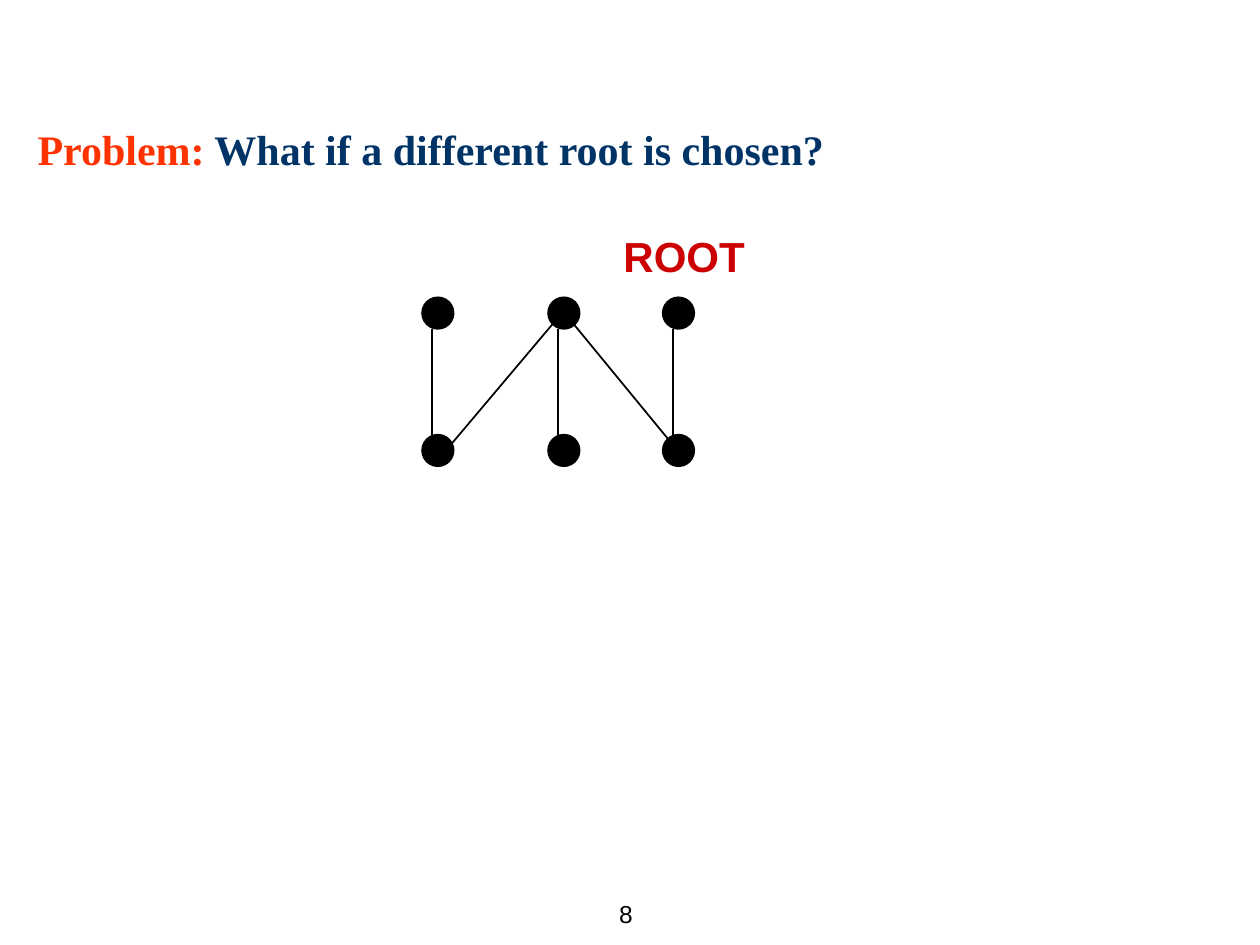
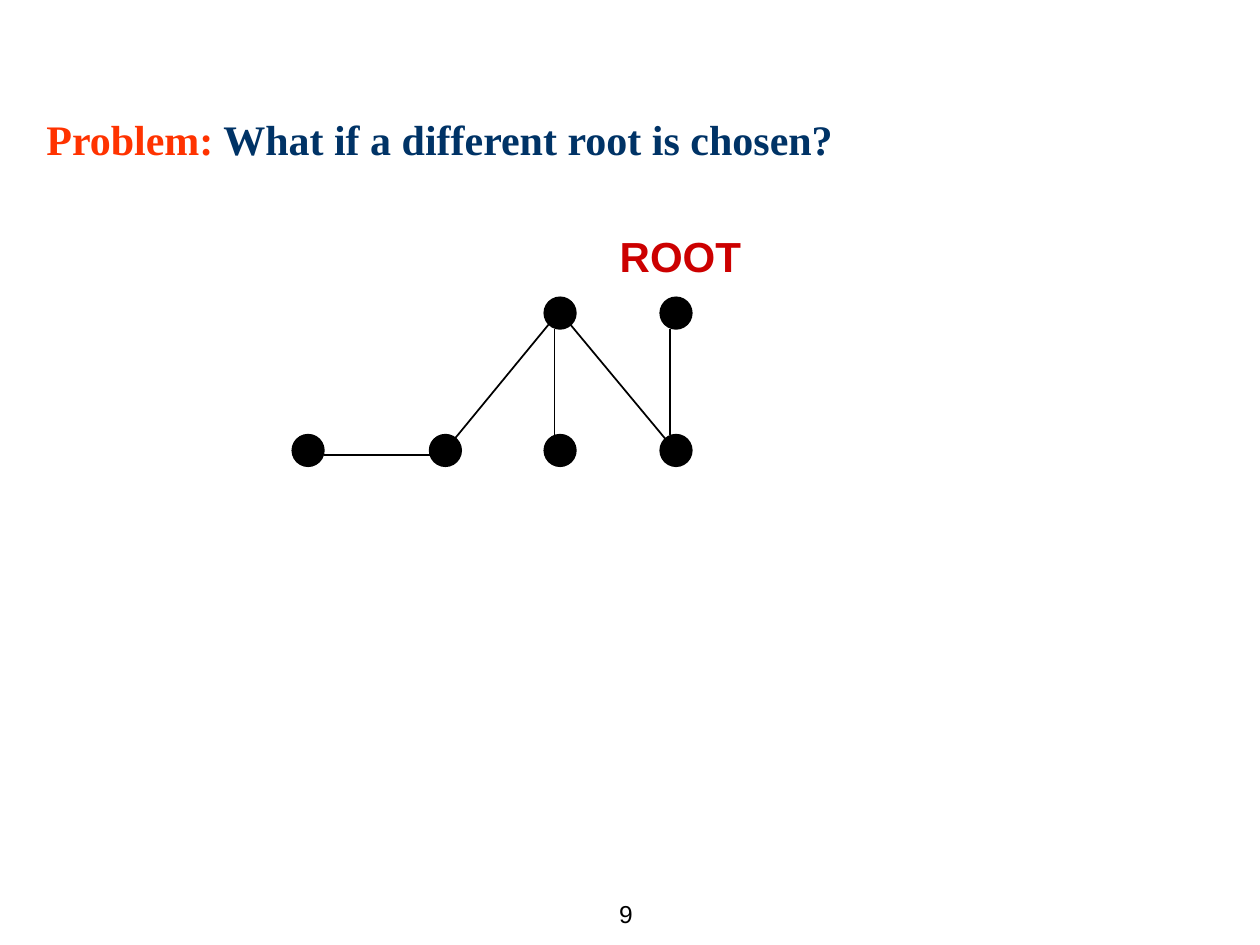
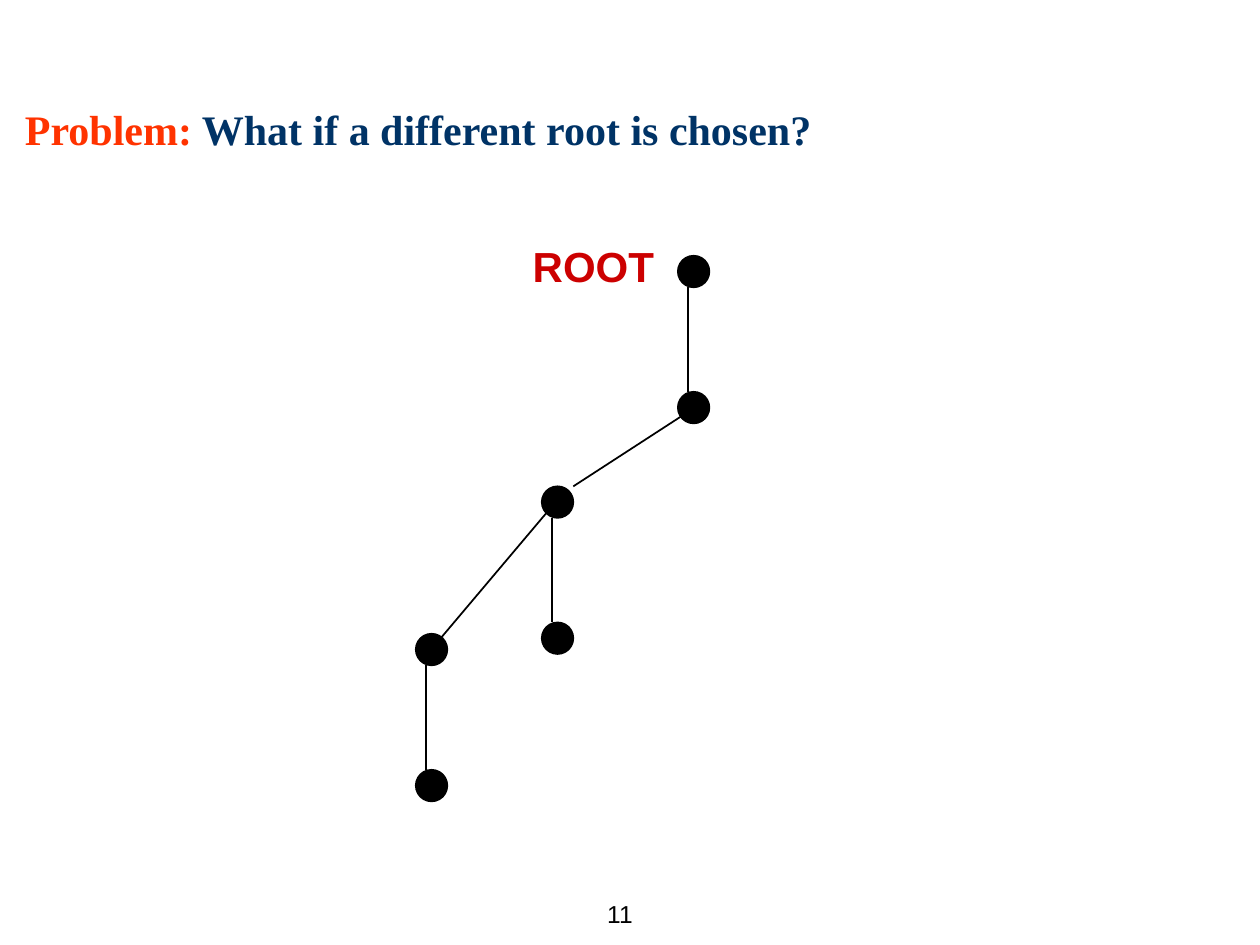
"""Builds three slides that redraw one tree after a different root is chosen."""
from lxml import etree
from pptx import Presentation
from pptx.dml.color import RGBColor
from pptx.enum.shapes import MSO_CONNECTOR, MSO_SHAPE
from pptx.enum.text import MSO_ANCHOR, PP_ALIGN
from pptx.oxml.ns import qn
from pptx.util import Pt

OVAL = MSO_SHAPE.OVAL
STRAIGHT = MSO_CONNECTOR.STRAIGHT
TOP, MIDDLE = MSO_ANCHOR.TOP, MSO_ANCHOR.MIDDLE
LEFT, RIGHT = PP_ALIGN.LEFT, PP_ALIGN.RIGHT

EMU_PER_PX = 9144
BLANK_LAYOUT = 6
NODE_SIZE = 25
PORTS = {
    "top": (8, 0), "bottom": (8, 25), "left": (0, 16), "right": (25, 16),
    "corner": (25, 0), "upper left": (8, 8), "upper right": (16, 8),
    "lower left": (8, 16), "lower right": (16, 16),
}
STEM = ("bottom", "top")


def px(length):
    return length * EMU_PER_PX


def colour(hex_string):
    return RGBColor.from_string(hex_string)


def write(frame, text, *, size, font, ink, bold=False, align=LEFT):
    """Appends a formatted run to the first paragraph of a text frame."""
    paragraph = frame.paragraphs[0]
    paragraph.alignment = align
    run = paragraph.add_run()
    run.text = text
    run.font.size = Pt(size)
    run.font.name = font
    run.font.bold = bold
    run.font.color.rgb = colour(ink)


class TreeDeck:
    """Holds the shared style and the slide being drawn."""

    black, orange, navy, red = "000000", "FF3300", "003366", "CC0000"
    serif, sans = "Times New Roman", "Arial"

    def __init__(self):
        self.deck = Presentation()
        self.deck.slide_width, self.deck.slide_height = px(1000), px(750)

    def start(self, number, title_at):
        layout = self.deck.slide_layouts[BLANK_LAYOUT]
        self.shapes = self.deck.slides.add_slide(layout).shapes
        page = self.box(445, 700, 67, 50, wrap=False, anchor=MIDDLE)
        write(page, str(number), size=14, font=self.sans, ink=self.black, align=RIGHT)
        self.title(*title_at)

    def box(self, x, y, width, height, wrap=True, anchor=TOP):
        frame = self.shapes.add_textbox(px(x), px(y), px(width), px(height)).text_frame
        frame.word_wrap = wrap
        frame.vertical_anchor = anchor
        return frame

    def title(self, x, y):
        heading = self.box(x, y, 900, 54)
        style = dict(size=24, font=self.serif, bold=True)
        write(heading, "Problem:", ink=self.orange, **style)
        write(heading, " What if a different root is chosen?", ink=self.navy, **style)

    def root_label(self, x, y):
        label = self.box(x, y, 116, 50, wrap=False)
        write(label, "ROOT", size=24, font=self.sans, ink=self.red, bold=True)

    def node(self, x, y):
        dot = self.shapes.add_shape(OVAL, px(x), px(y), px(NODE_SIZE), px(NODE_SIZE))
        dot.shadow.inherit = False
        dot.fill.solid()
        dot.fill.fore_color.rgb = colour(self.black)
        dot.line.color.rgb = colour(self.black)
        dot.line.width = Pt(1)

    def edge(self, parent, child, ports):
        ends = [px(origin + offset)
                for node, port in zip((parent, child), ports)
                for origin, offset in zip(node, PORTS[port])]
        branch = self.shapes.add_connector(STRAIGHT, *ends)
        branch.line.color.rgb = colour(self.black)
        branch.line.width = Pt(1)
        etree.SubElement(branch._element.spPr, qn("a:effectLst"))

    def tree(self, nodes, edges):
        for place in nodes.values():
            self.node(*place)
        for parent, child, ports in edges:
            self.edge(nodes[parent], nodes[child], ports)


def main():
    deck = TreeDeck()
    upper, lower = 236, 345
    down_left = ("lower left", "lower right")
    down_right = ("lower right", "upper left")

    deck.start(8, title_at=(20, 93))
    deck.tree(
        {"leaf": (335, upper), "left": (335, lower),
         "hub": (435, upper), "middle": (435, lower),
         "root": (526, upper), "right": (526, lower)},
        [("leaf", "left", STEM), ("hub", "middle", STEM), ("root", "right", STEM),
         ("hub", "left", down_left), ("hub", "right", down_right)])
    deck.root_label(485, 178)

    deck.start(9, title_at=(27, 85))
    deck.tree(
        {"leaf": (232, lower), "left": (341, lower),
         "hub": (432, upper), "middle": (432, lower),
         "root": (524, upper), "right": (524, lower)},
        [("leaf", "left", ("right", "left")), ("hub", "middle", STEM),
         ("root", "right", STEM), ("hub", "left", ("lower left", "upper right")),
         ("hub", "right", down_right)])
    deck.root_label(482, 178)

    deck.start(11, title_at=(10, 77))
    deck.tree(
        {"root": (538, 203), "right": (538, 311),
         "hub": (430, 386), "middle": (430, 494),
         "left": (330, 503), "leaf": (330, 611)},
        [("root", "right", STEM), ("hub", "middle", STEM), ("left", "leaf", STEM),
         ("right", "hub", ("lower left", "corner")),
         ("hub", "left", ("lower left", "upper right"))])
    deck.root_label(413, 186)

    deck.deck.save("out.pptx")


if __name__ == "__main__":
    main()
